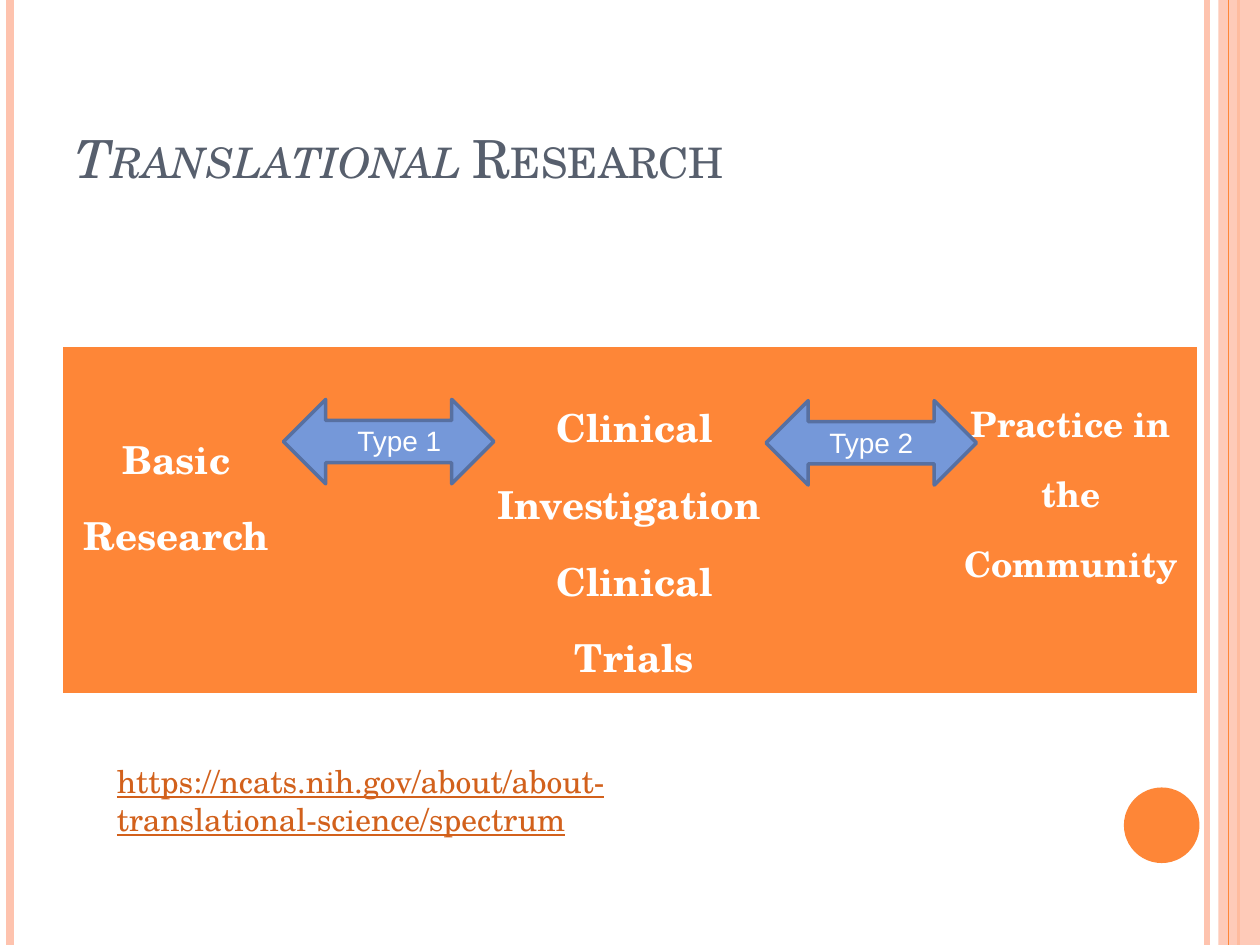
from lxml import etree
from pptx import Presentation
from pptx.dml.color import RGBColor
from pptx.enum.shapes import MSO_CONNECTOR, MSO_SHAPE
from pptx.enum.text import MSO_ANCHOR, PP_ALIGN
from pptx.oxml.ns import qn
from pptx.util import Inches, Pt

STRAIGHT = MSO_CONNECTOR.STRAIGHT
RECT, OVAL, ARROW = MSO_SHAPE.RECTANGLE, MSO_SHAPE.OVAL, MSO_SHAPE.LEFT_RIGHT_ARROW
LEFT, CENTER = PP_ALIGN.LEFT, PP_ALIGN.CENTER
TOP, BOTTOM = MSO_ANCHOR.TOP, MSO_ANCHOR.BOTTOM
SERIF, SANS = "TeX Gyre Schola", "Arial"
ORANGE, PEACH, WHITE = "FE8637", "FEC3AE", "FFFFFF"


def paint(color_format, color, alpha=100):
    color_format.rgb = RGBColor.from_string(color)
    if alpha < 100:
        clr = color_format._xFill.find(qn("a:srgbClr"))
        etree.SubElement(clr, qn("a:alpha")).set("val", str(alpha * 1000))


def add_run(p, text, size, color, font=SERIF):
    r = p.add_run()
    r.text = text
    r.font.name, r.font.size = font, Pt(size)
    paint(r.font.color, color)
    return r


prs = Presentation()
prs.slide_width, prs.slide_height = Inches(10), Inches(7.5)
W, H = prs.slide_width, prs.slide_height
s = prs.slides.add_slide(prs.slide_layouts[6])

# Side stripes: the band lies between the inner and outer lines
for x, color, width in [(9.58, PEACH, 3), (0.08, PEACH, 4.5), (9.83, ORANGE, 1.5),
                        (9.67, PEACH, None), (9.75, ORANGE, 0.75)]:
    if width is None:
        sp = s.shapes.add_shape(RECT, Inches(x), 0, W - Inches(x), H)
        sp.shadow.inherit = False
        sp.fill.solid()
        paint(sp.fill.fore_color, color)
        clr = sp.fill._xPr.find(qn("a:solidFill")).find(qn("a:srgbClr"))
        etree.SubElement(clr, qn("a:alpha")).set("val", "87000")
        sp.line.fill.background()
    else:
        line = s.shapes.add_connector(STRAIGHT, Inches(x), 0, Inches(x), H)
        line.line.width = Pt(width)
        paint(line.line.color, color)
        etree.SubElement(line._element.spPr, qn("a:effectLst"))

# Table of research stages
stages = [(["Basic Research"], 22, 0.52), ([], 22, 0.05),
          (["Clinical Investigation ", "Clinical Trials"], 22, 0.27), ([], 22, 0.05),
          (["Practice in the Community"], 20, 0.27)]
tbl = s.shapes.add_table(1, len(stages), Inches(0.5), Inches(2.75), Inches(9), Inches(2.2)).table
for col, width in zip(tbl.columns, [1.8, 1.53, 2.41, 1.26, 2]):
    col.width = Inches(width)
for cell, (lines, size, margin) in zip(tbl.rows[0].cells, stages):
    cell.fill.solid()
    paint(cell.fill.fore_color, ORANGE)
    cell.margin_top = Inches(margin)
    for edge in ("a:lnL", "a:lnR", "a:lnT", "a:lnB"):
        ln = etree.Element(qn(edge), w="0")
        etree.SubElement(ln, qn("a:noFill"))
        tcPr = cell._tc.tcPr
        tcPr.insert(len(tcPr) - 1, ln)
    for i, text in enumerate(lines):
        p = cell.text_frame.add_paragraph() if i else cell.text_frame.paragraphs[0]
        p.alignment, p.line_spacing = CENTER, 1.29
        add_run(p, text, size, WHITE).font.bold = True

# Arrows between stages, and the corner dot
for kind, x, y, w, h, fill, outline in [(OVAL, 8.92, 6.25, 0.6, 0.6, ORANGE, None),
                                        (ARROW, 2.25, 3.17, 1.67, 0.67, "7598D9", "5770A1"),
                                        (ARROW, 6.08, 3.18, 1.67, 0.67, "7598D9", "5770A1")]:
    sp = s.shapes.add_shape(kind, Inches(x), Inches(y), Inches(w), Inches(h))
    sp.shadow.inherit = False
    sp.fill.solid()
    paint(sp.fill.fore_color, fill)
    if outline:
        sp.line.width = Pt(2)
        paint(sp.line.color, outline)
    else:
        sp.line.fill.background()

# Title, arrow labels and web address
url = "https://ncats.nih.gov/about/about-translational-science/spectrum"
texts = [
    (0.5, 0.3, 8.17, 1.25, BOTTOM, LEFT, SERIF, 30, "575F6D", [("Translational ", "i"), ("Research", "")]),
    (6.33, 3.33, 1.17, 0.37, TOP, CENTER, SANS, 16, WHITE, [("Type 2", "")]),
    (2.67, 3.31, 1, 0.37, TOP, CENTER, SANS, 16, WHITE, [("Type 1", "")]),
    (0.83, 6, 5, 0.71, TOP, LEFT, SERIF, 18, "D2611C", [(url, "u")]),
]
for x, y, w, h, anchor, align, font, size, color, runs in texts:
    tf = s.shapes.add_textbox(Inches(x), Inches(y), Inches(w), Inches(h)).text_frame
    tf.word_wrap, tf.vertical_anchor = True, anchor
    p = tf.paragraphs[0]
    p.alignment = align
    for text, style in runs:
        r = add_run(p, text, size, color, font)
        r.font.italic, r.font.underline = style == "i", style == "u"
        if anchor == BOTTOM:
            r.font._element.set("cap", "small")

prs.save("out.pptx")
